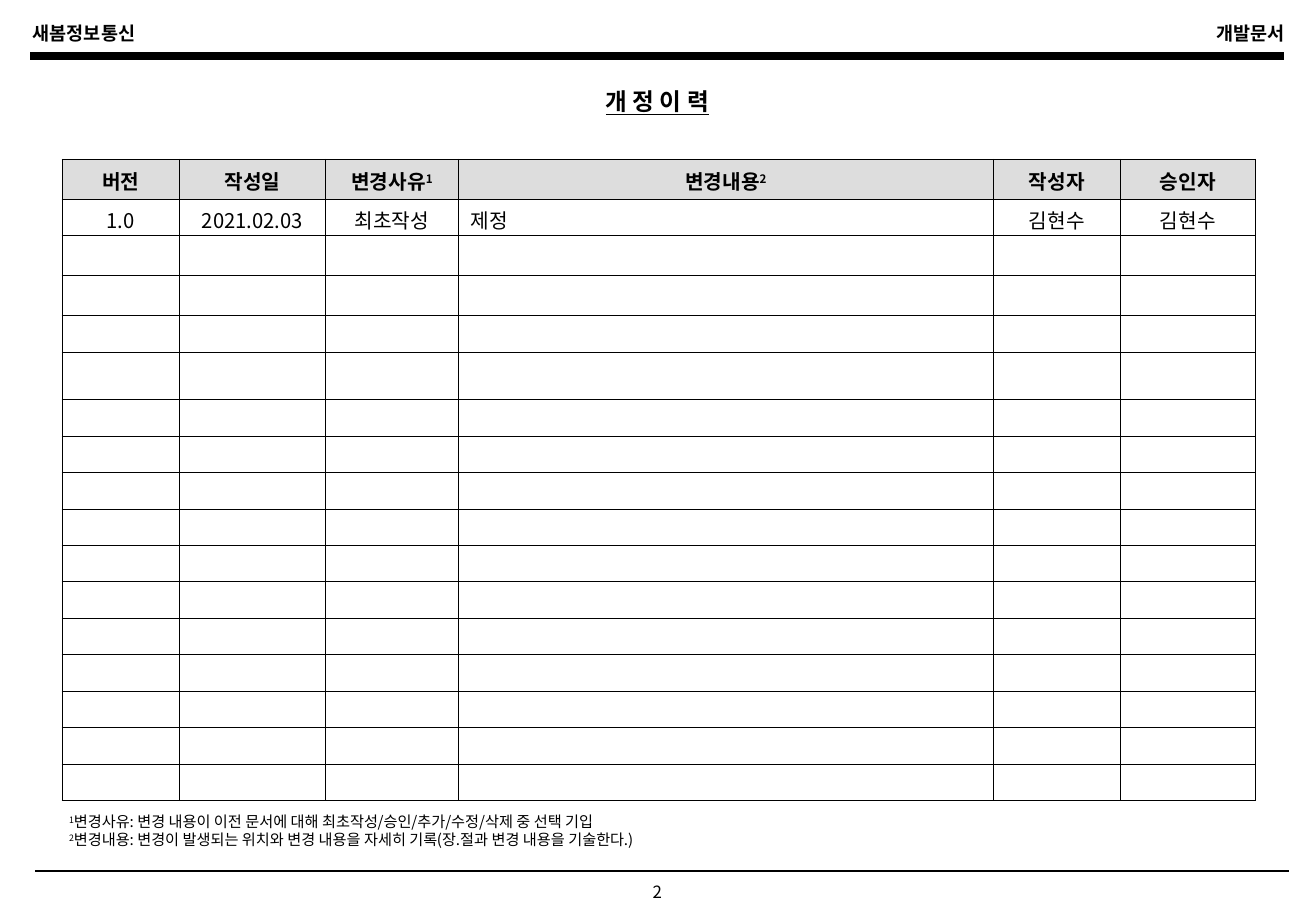
from lxml.etree import SubElement
from pptx import Presentation
from pptx.dml.color import RGBColor
from pptx.enum.shapes import MSO_CONNECTOR
from pptx.enum.text import MSO_ANCHOR, PP_ALIGN
from pptx.oxml import parse_xml
from pptx.oxml.ns import nsdecls, qn
from pptx.util import Inches, Pt

FONT = "Noto Sans CJK KR"
BLACK = RGBColor(0x00, 0x00, 0x00)
HEADER_GRAY = RGBColor(0xDD, 0xDD, 0xDD)

COLUMN_WIDTHS = [0.97, 1.2, 1.1, 4.4, 1.05, 1.11]
ROW_HEIGHTS = [0.33, 0.3, 0.33, 0.33, 0.3, 0.39] + [0.3] * 11
# Each entry is (text, superscript mark after it).
HEADINGS = [("버전", ""), ("작성일", ""), ("변경사유", "1"),
            ("변경내용", "2"), ("작성자", ""), ("승인자", "")]
FIRST_REVISION = ["1.0", "2021.02.03", "최초작성", "제정", "김현수", "김현수"]
DETAIL_COLUMN = 3
FOOTNOTES = [
    ("1", "변경사유: 변경 내용이 이전 문서에 대해 최초작성/승인/추가/수정/삭제 중 선택 기입"),
    ("2", "변경내용: 변경이 발생되는 위치와 변경 내용을 자세히 기록(장.절과 변경 내용을 기술한다.)"),
]


def add_span(para, text, size, superscript=False, **formats):
    span = para.add_run()
    span.text = text
    for name, value in {"name": FONT, "size": Pt(size), **formats}.items():
        setattr(span.font, name, value)
    span.font.color.rgb = BLACK
    properties = span._r.get_or_add_rPr()
    SubElement(properties, qn("a:ea"), typeface=FONT)
    if superscript:
        properties.set("baseline", "30000")


def format_frame(frame, margin_x=0.1, margin_y=0.05):
    settings = {
        "word_wrap": True, "vertical_anchor": MSO_ANCHOR.MIDDLE,
        "margin_left": Inches(margin_x), "margin_right": Inches(margin_x),
        "margin_top": Inches(margin_y), "margin_bottom": Inches(margin_y),
    }
    for name, value in settings.items():
        setattr(frame, name, value)


def add_label(page, box, text, size, align, **formats):
    frame = page.shapes.add_textbox(*map(Inches, box)).text_frame
    format_frame(frame)
    para = frame.paragraphs[0]
    para.alignment = align
    add_span(para, text, size, **formats)


def add_rule(page, left, top, width, weight):
    rule = page.shapes.add_connector(
        MSO_CONNECTOR.STRAIGHT, Inches(left), Inches(top),
        Inches(left + width), Inches(top))
    rule.line.color.rgb = BLACK
    rule.line.width = Pt(weight)
    SubElement(rule._element.spPr, qn("a:effectLst"))


def add_running_header(page, left, top, width):
    half = 4.15
    right = left + width - half
    add_label(page, (left, top, half, 0.29), "새봄정보통신", 11,
              PP_ALIGN.LEFT, bold=True)
    add_label(page, (right, top, half, 0.29), "개발문서", 11,
              PP_ALIGN.RIGHT, bold=True)
    add_rule(page, left + 0.08, top + 0.33, 10.33, 4.5)


def add_running_footer(page, left, top, width):
    add_rule(page, left, top, width, 1)
    add_label(page, (left + 4.66, top + 0.03, 0.93, 0.29), "2", 10,
              PP_ALIGN.CENTER)


def set_title(page, left, top, width, height):
    title = page.shapes.title
    box = {"left": left, "top": top, "width": width, "height": height}
    for name, value in box.items():
        setattr(title, name, Inches(value))
    format_frame(title.text_frame, 0, 0)
    para = title.text_frame.paragraphs[0]
    para.alignment = PP_ALIGN.CENTER
    add_span(para, "개 정 이 력", 14, bold=True, underline=True)


def add_cell_borders(cell):
    properties = cell._tc.get_or_add_tcPr()
    for side in ("lnL", "lnR", "lnT", "lnB"):
        properties.append(parse_xml(
            f'<a:{side} {nsdecls("a")} w="{Pt(0.45)}"><a:solidFill>'
            f'<a:srgbClr val="{BLACK}"/></a:solidFill></a:{side}>'))


def fill_cell(cell, row, column):
    """Write the heading, the first revision, or leave a small empty line."""
    para = cell.text_frame.paragraphs[0]
    para.alignment = PP_ALIGN.CENTER
    if row == 0:
        text, mark = HEADINGS[column]
        add_span(para, text, 12, bold=True)
        if mark:
            add_span(para, mark, 12, superscript=True, bold=True)
    elif row == 1:
        if column == DETAIL_COLUMN:
            para.alignment = PP_ALIGN.LEFT
        add_span(para, FIRST_REVISION[column], 12, bold=False)
    else:
        SubElement(para._p, qn("a:endParaRPr"), sz="1000")


def add_revision_table(page, left, top):
    table = page.shapes.add_table(
        len(ROW_HEIGHTS), len(COLUMN_WIDTHS), Inches(left), Inches(top),
        Inches(sum(COLUMN_WIDTHS)), Inches(sum(ROW_HEIGHTS))).table
    table.horz_banding = False
    for column, width in zip(table.columns, COLUMN_WIDTHS):
        column.width = Inches(width)
    for row_index, height in enumerate(ROW_HEIGHTS):
        table.rows[row_index].height = Inches(height)
        for column_index in range(len(COLUMN_WIDTHS)):
            cell = table.cell(row_index, column_index)
            cell.vertical_anchor = MSO_ANCHOR.MIDDLE
            cell.margin_top = Inches(0.04)
            cell.margin_bottom = Inches(0.01)
            add_cell_borders(cell)
            if row_index == 0:
                cell.fill.solid()
                cell.fill.fore_color.rgb = HEADER_GRAY
            else:
                cell.fill.background()
            fill_cell(cell, row_index, column_index)


def add_footnotes(page, left, top, width, height):
    box = map(Inches, (left, top, width, height))
    frame = page.shapes.add_textbox(*box).text_frame
    format_frame(frame)
    for index, (mark, text) in enumerate(FOOTNOTES):
        para = frame.add_paragraph() if index else frame.paragraphs[0]
        para.line_spacing = Pt(10.8)
        add_span(para, mark, 9, superscript=True)
        add_span(para, text, 9)


def main():
    deck = Presentation()
    deck.slide_width = Inches(10.84)
    deck.slide_height = Inches(7.5)
    page = deck.slides.add_slide(deck.slide_layouts.get_by_name("Title Only"))
    add_running_header(page, 0.17, 0.13, 10.51)
    set_title(page, 4.54, 0.67, 1.75, 0.33)
    add_revision_table(page, 0.51, 1.31)
    add_footnotes(page, 0.47, 6.64, 8.88, 0.4)
    add_running_footer(page, 0.29, 7.17, 10.33)
    deck.save("out.pptx")


if __name__ == "__main__":
    main()
